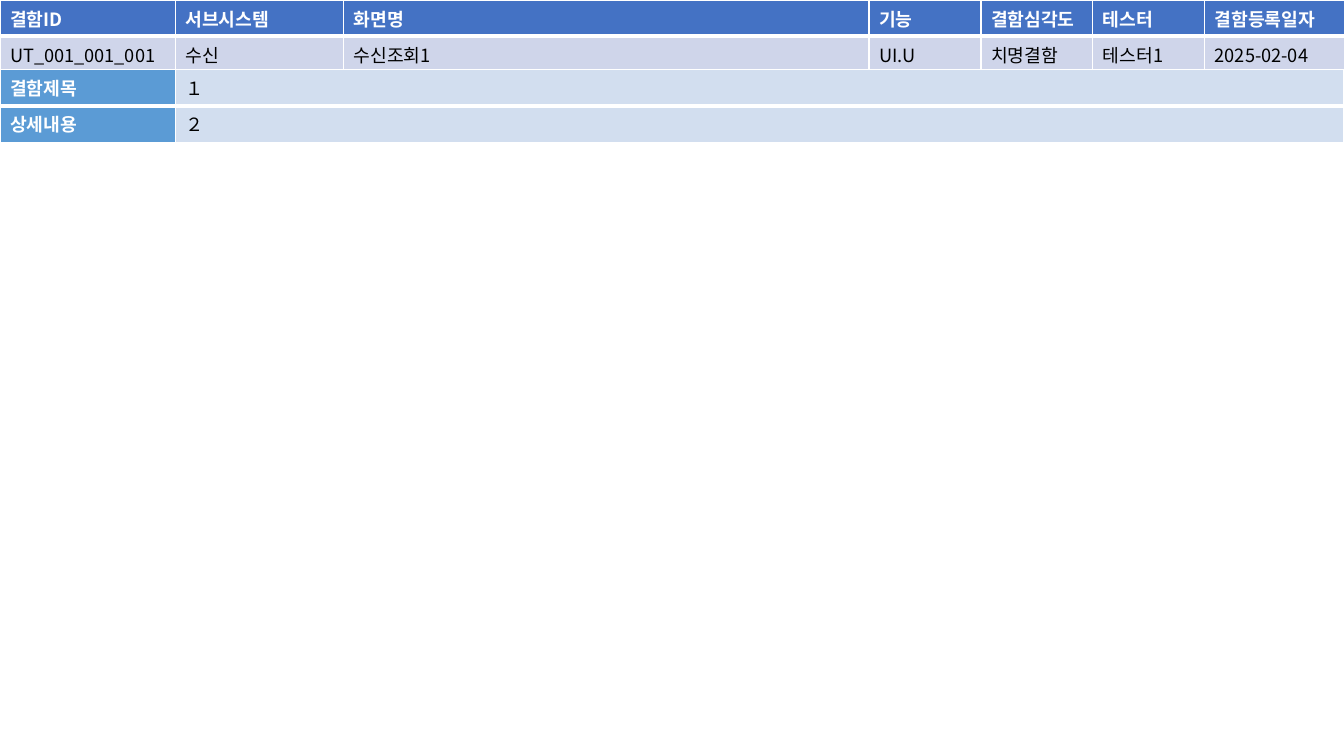
from lxml.etree import SubElement
from pptx import Presentation
from pptx.dml.color import RGBColor
from pptx.oxml.ns import qn
from pptx.util import Inches, Pt

FONT = "Noto Sans CJK KR"
WHITE, BLACK = "FFFFFF", "000000"
WIDTH, ROW_HEIGHT, DETAIL_TOP = 13.33, 0.35, 0.69
ID_WIDTH = 1.74
SUMMARY_WIDTHS = [ID_WIDTH, 1.67, 5.21, 1.11, 1.11, 1.11, 1.39]
DEFECT_HEADINGS = ["결함ID", "서브시스템", "화면명", "기능", "결함심각도", "테스터", "결함등록일자"]
DEFECT_VALUES = ["UT_001_001_001", "수신", "수신조회1", "UI.U", "치명결함", "테스터1", "2025-02-04"]
DETAILS = [["결함제목", "１"], ["상세내용", "２"]]


def color(hex_code):
    """Turn a hex string into a colour."""
    return RGBColor.from_string(hex_code)


def write(frame, text, size=13, ink=BLACK, bold=False):
    """Put formatted text into a text frame."""
    run = frame.paragraphs[0].add_run()
    run.text = text
    run.font.size = Pt(size)
    run.font.bold = bold
    run.font.name = FONT
    run.font.color.rgb = color(ink)
    SubElement(run.font._element, qn("a:ea"), typeface=FONT)


def draw_borders(cell, **widths):
    """Draw white borders, with the width in points given by side."""
    properties = cell._tc.get_or_add_tcPr()
    for position, side in enumerate("LRTB"):
        border = properties.makeelement(qn(f"a:ln{side}"), {"w": str(Pt(widths.get(side, 1)))})
        fill = SubElement(border, qn("a:solidFill"))
        SubElement(fill, qn("a:srgbClr"), val=WHITE)
        properties.insert(position, border)


def add_grid(slide, left, top, widths, rows, is_label, label_fill, value_fill):
    """Add a two-row table whose label cells are bold on a strong fill."""
    frame = slide.shapes.add_table(
        len(rows), len(widths), Inches(left), Inches(top),
        Inches(sum(widths)), Inches(ROW_HEIGHT * len(rows)))
    grid = frame.table
    for column, width in zip(grid.columns, widths):
        column.width = Inches(width)
    for r, texts in enumerate(rows):
        grid.rows[r].height = Inches(ROW_HEIGHT)
        for c, text in enumerate(texts):
            cell, label = grid.cell(r, c), is_label(r, c)
            cell.fill.solid()
            cell.fill.fore_color.rgb = color(label_fill if label else value_fill)
            draw_borders(cell, **({"B": 3} if r == 0 else {"T": 3}))
            write(cell.text_frame, text, ink=WHITE if label else BLACK, bold=label)


def add_summary(slide, left, top):
    """Add the defect summary with headings in its first row."""
    add_grid(slide, left, top, SUMMARY_WIDTHS, [DEFECT_HEADINGS, DEFECT_VALUES],
             lambda r, c: r == 0, "4472C4", "CFD5EA")


def add_details(slide, left, top, width):
    """Add the defect title and details with labels in the first column."""
    add_grid(slide, left, top, [ID_WIDTH, width - ID_WIDTH], DETAILS,
             lambda r, c: c == 0, "5B9BD5", "D2DEEF")


def main():
    """Build and save the defect report slide."""
    deck = Presentation()
    deck.slide_width, deck.slide_height = Inches(WIDTH), Inches(7.5)
    slide = deck.slides.add_slide(deck.slide_layouts[6])
    add_summary(slide, 0, 0)
    add_details(slide, 0, DETAIL_TOP, WIDTH)
    deck.save("out.pptx")


if __name__ == "__main__":
    main()
